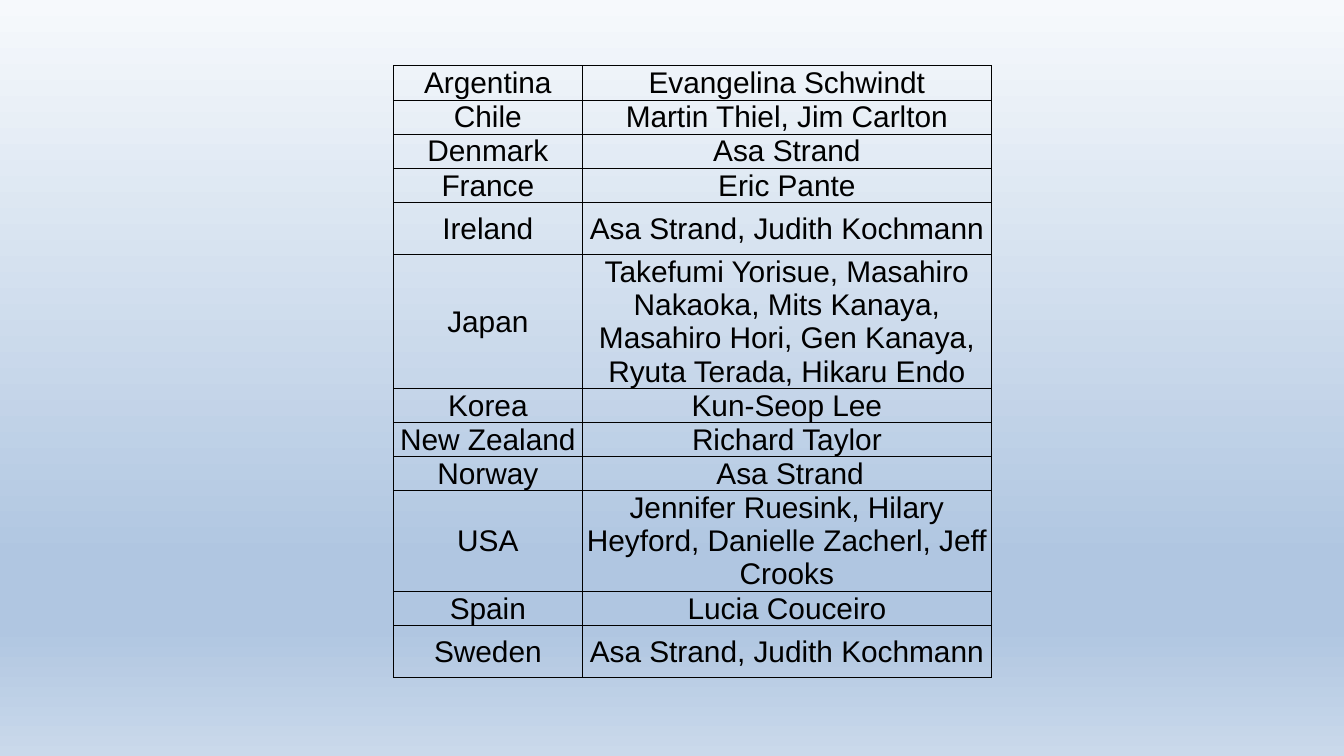
import pptx
import pptx.dml.color
import pptx.enum.text
import pptx.oxml
import pptx.oxml.ns
import pptx.util
from lxml import etree

Inches = pptx.util.Inches
Pt = pptx.util.Pt
qn = pptx.oxml.ns.qn

SLIDE_WIDTH = 10
SLIDE_HEIGHT = SLIDE_WIDTH * 9 / 16
LINE_HEIGHT = 0.39 / 2
COLUMN_WIDTHS = (1.4, 3.05)
BLACK = "000000"
BACKGROUND_STOPS = ((0, "F6F9FC"), (74, "B0C6E1"), (83, "B0C6E1"), (100, "CAD9EB"))

# Country, researchers, row height in lines
COUNTRIES = (
    ("Argentina", "Evangelina Schwindt", 1),
    ("Chile", "Martin Thiel, Jim Carlton", 1),
    ("Denmark", "Asa Strand", 1),
    ("France", "Eric Pante", 1),
    ("Ireland", "Asa Strand, Judith Kochmann", 2),
    ("Japan", "Takefumi Yorisue, Masahiro Nakaoka, Mits Kanaya, "
              "Masahiro Hori, Gen Kanaya, Ryuta Terada, Hikaru Endo", 4),
    ("Korea", "Kun-Seop Lee", 1),
    ("New Zealand", "Richard Taylor", 1),
    ("Norway", " Asa Strand", 1),
    ("USA", "Jennifer Ruesink, Hilary Heyford, Danielle Zacherl, Jeff Crooks", 3),
    ("Spain", "Lucia Couceiro", 1),
    ("Sweden", "Asa Strand, Judith Kochmann", 2),
)

CELL_FORMAT = {
    "vertical_anchor": pptx.enum.text.MSO_ANCHOR.MIDDLE,
    "margin_left": Pt(0.5),
    "margin_top": Pt(0.5),
    "margin_right": Pt(0.5),
    "margin_bottom": 0,
}
FONT_FORMAT = {"name": "Arial", "size": Pt(16), "bold": False}
TABLE_FORMAT = {"first_row": False, "horz_banding": False}


def apply_format(target, values):
    for name, value in values.items():
        setattr(target, name, value)


def rgb(color):
    return pptx.dml.color.RGBColor.from_string(color)


def add_color(parent, color):
    etree.SubElement(parent, qn("a:srgbClr"), val=color)


def paint_background(slide, stops):
    fill = slide.background.fill
    fill.gradient()
    fill.gradient_angle = 270  # top to bottom
    stop_list = slide.background._cSld.find(".//" + qn("a:gsLst"))
    for stop in list(stop_list):
        stop_list.remove(stop)
    for percent, color in stops:
        add_color(etree.SubElement(stop_list, qn("a:gs"), pos=str(percent * 1000)), color)


def add_borders(cell, color, points):
    properties = cell._tc.get_or_add_tcPr()
    for side in ("L", "R", "T", "B"):
        border = etree.SubElement(properties, qn("a:ln" + side), w=str(Pt(points)))
        add_color(etree.SubElement(border, qn("a:solidFill")), color)


def fill_cell(cell, text):
    apply_format(cell, CELL_FORMAT)
    add_borders(cell, BLACK, 0.5)
    cell.fill.background()
    cell.text = text
    paragraph = cell.text_frame.paragraphs[0]
    paragraph.alignment = pptx.enum.text.PP_ALIGN.CENTER
    font = paragraph.runs[0].font
    apply_format(font, FONT_FORMAT)
    font.color.rgb = rgb(BLACK)


def add_country_table(slide, left, top, height):
    frame = slide.shapes.add_table(
        len(COUNTRIES), len(COLUMN_WIDTHS), Inches(left), Inches(top),
        Inches(sum(COLUMN_WIDTHS)), Inches(height))
    table = frame.table
    apply_format(table, TABLE_FORMAT)
    for column, width in zip(table.columns, COLUMN_WIDTHS):
        column.width = Inches(width)
    for row, (country, researchers, lines) in zip(table.rows, COUNTRIES):
        row.height = Inches(lines * LINE_HEIGHT)
        for cell, text in zip(row.cells, (country, researchers)):
            fill_cell(cell, text)
    # The frame is a little larger than its rows and columns
    frame.width = Inches(4.46)
    frame.height = Inches(height)


def main():
    presentation = pptx.Presentation()
    presentation.slide_width = Inches(SLIDE_WIDTH)
    presentation.slide_height = Inches(SLIDE_HEIGHT)
    slide = presentation.slides.add_slide(presentation.slide_layouts[6])
    paint_background(slide, BACKGROUND_STOPS)
    add_country_table(slide, left=2.93, top=0.49, height=4.87)
    presentation.save("out.pptx")


if __name__ == "__main__":
    main()
